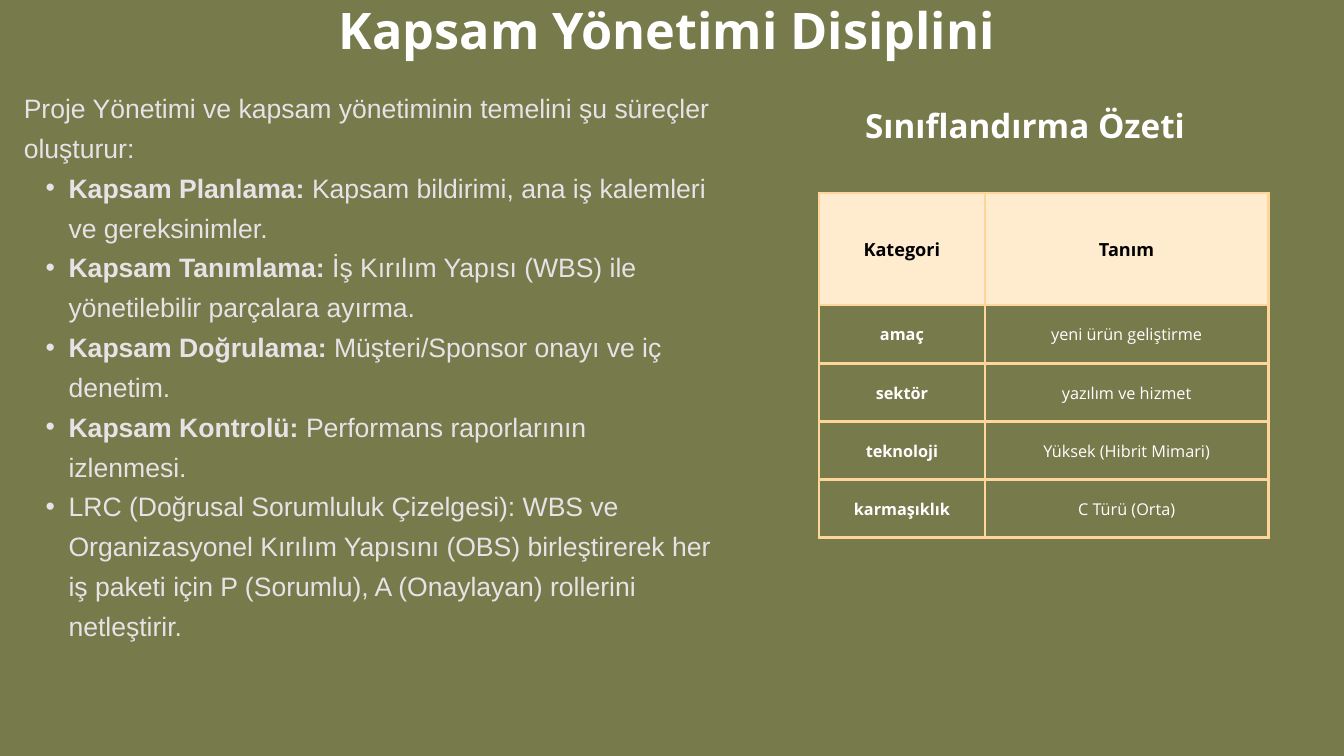
from dataclasses import dataclass

from lxml import etree
from pptx import Presentation
from pptx.dml.color import RGBColor
from pptx.enum.text import MSO_ANCHOR, MSO_AUTO_SIZE, PP_ALIGN
from pptx.oxml.ns import qn
from pptx.util import Pt

LEFT, CENTER = PP_ALIGN.LEFT, PP_ALIGN.CENTER
TOP, MIDDLE = MSO_ANCHOR.TOP, MSO_ANCHOR.MIDDLE
NO_FIT = MSO_AUTO_SIZE.NONE
PX = 9525  # EMU per px, 96 px to the inch


@dataclass(frozen=True)
class Theme:
    background: str = "777A4A"
    white: str = "FFFFFF"
    body: str = "E5E3E6"
    header_text: str = "000000"
    header_fill: str = "FFEBCD"
    border: str = "FFD699"
    heading_font: str = "Open Sans"
    body_font: str = "Arial"
    title_size: float = 54
    subtitle_size: float = 35.6
    body_size: float = 28.5
    header_size: float = 19.4
    cell_size: float = 17.4
    title_line: float = 64.8
    body_line: float = 42.7
    header_line: float = 27.2
    cell_line: float = 24.4
    border_width: float = 3


THEME = Theme()

INTRO = "Proje Yönetimi ve kapsam yönetiminin temelini şu süreçler oluşturur:"
PROCESSES = [
    ("Kapsam Planlama:", " Kapsam bildirimi, ana iş kalemleri ve gereksinimler."),
    ("Kapsam Tanımlama:", " İş Kırılım Yapısı (WBS) ile yönetilebilir parçalara ayırma."),
    ("Kapsam Doğrulama:", " Müşteri/Sponsor onayı ve iç denetim."),
    ("Kapsam Kontrolü:", " Performans raporlarının izlenmesi."),
    ("", "LRC (Doğrusal Sorumluluk Çizelgesi): WBS ve Organizasyonel Kırılım "
         "Yapısını (OBS) birleştirerek her iş paketi için P (Sorumlu), "
         "A (Onaylayan) rollerini netleştirir."),
]
SUMMARY = [
    ("Kategori", "Tanım"),
    ("amaç", "yeni ürün geliştirme"),
    ("sektör", "yazılım ve hizmet"),
    ("teknoloji", "Yüksek (Hibrit Mimari)"),
    ("karmaşıklık", "C Türü (Orta)"),
]


def px(*values):
    return [v * PX for v in values]


def add_run(p, text, font, size, color, bold=False):
    r = p.add_run()
    r.text = text
    r.font.name, r.font.size, r.font.bold = font, Pt(size), bold
    r.font.color.rgb = RGBColor.from_string(color)


def format_paragraph(p, line, align=LEFT):
    p.alignment = align
    p.line_spacing = Pt(line)
    p.space_before = p.space_after = Pt(0)


def set_bullet(p, margin, indent, char=None):
    pPr = p._p.get_or_add_pPr()
    pPr.set("marL", str(margin * PX))
    pPr.set("indent", str(indent * PX))
    if char:
        etree.SubElement(pPr, qn("a:buChar")).set("char", char)
    else:
        etree.SubElement(pPr, qn("a:buNone"))


def place(s, box):
    """Put a text shape in its box, without insets, and return its frame."""
    s.left, s.top, s.width, s.height = px(*box)
    tf = s.text_frame
    tf.word_wrap, tf.auto_size, tf.vertical_anchor = True, NO_FIT, TOP
    tf.margin_left = tf.margin_top = tf.margin_right = tf.margin_bottom = 0
    return tf


def fill_heading(s, box, text, size, line):
    p = place(s, box).paragraphs[0]
    format_paragraph(p, line)
    add_run(p, text, THEME.heading_font, size, THEME.white, True)


def fill_body(s, box):
    tf = place(s, box)
    # Introduction
    p = tf.paragraphs[0]
    set_bullet(p, 0, 0)
    format_paragraph(p, THEME.body_line)
    add_run(p, INTRO, THEME.body_font, THEME.body_size, THEME.body)
    # Process list
    for name, description in PROCESSES:
        p = tf.add_paragraph()
        p.level = 1
        set_bullet(p, 64, -33, "•")
        format_paragraph(p, THEME.body_line)
        if name:
            add_run(p, name, THEME.body_font, THEME.body_size, THEME.body, True)
        add_run(p, description, THEME.body_font, THEME.body_size, THEME.body)


def set_borders(cell):
    tcPr = cell._tc.get_or_add_tcPr()
    for side in ("lnL", "lnR", "lnT", "lnB"):
        ln = etree.SubElement(tcPr, qn(f"a:{side}"), w=str(Pt(THEME.border_width)))
        fill = etree.SubElement(ln, qn("a:solidFill"))
        etree.SubElement(fill, qn("a:srgbClr"), val=THEME.border)


def fill_cell(cell, text, header, bold):
    set_borders(cell)
    if header:
        cell.fill.solid()
        cell.fill.fore_color.rgb = RGBColor.from_string(THEME.header_fill)
        size, line, color = THEME.header_size, THEME.header_line, THEME.header_text
    else:
        cell.fill.background()
        size, line, color = THEME.cell_size, THEME.cell_line, THEME.white
    cell.vertical_anchor = MIDDLE
    cell.margin_left = cell.margin_right = 20 * PX
    cell.margin_top = cell.margin_bottom = 20 * PX
    p = cell.text_frame.paragraphs[0]
    format_paragraph(p, line, CENTER)
    add_run(p, text, THEME.heading_font, size, color, bold)


def add_summary(slide, box):
    left, top, width, height = box
    # Section heading
    fill_heading(slide.shapes.add_textbox(0, 0, 0, 0), (left + 66, top, 472, 113),
                 "Sınıflandırma Özeti", THEME.subtitle_size, THEME.body_line)
    # Table: a tall header row, then equal rows
    table_top, header_height, first_width = 126, 160, 237
    table_height = height - table_top
    table = slide.shapes.add_table(
        len(SUMMARY), 2, *px(left, top + table_top, width, table_height)).table
    table.horz_banding = table.first_row = False
    table.columns[0].width, table.columns[1].width = px(first_width, width - first_width)
    row_height = (table_height - header_height) // (len(SUMMARY) - 1)
    for i, texts in enumerate(SUMMARY):
        table.rows[i].height = (row_height if i else header_height) * PX
        for j, text in enumerate(texts):
            fill_cell(table.cell(i, j), text, header=i == 0, bold=i == 0 or j == 0)


def main():
    prs = Presentation()
    prs.slide_width, prs.slide_height = px(1920, 1080)
    slide = prs.slides.add_slide(prs.slide_layouts[1])
    slide.background.fill.solid()
    slide.background.fill.fore_color.rgb = RGBColor.from_string(THEME.background)

    fill_heading(slide.shapes.title, (484, -1, 948, 259),
                 "Kapsam Yönetimi Disiplini", THEME.title_size, THEME.title_line)
    fill_body(slide.placeholders[1], (34, 120, 982, 894))
    add_summary(slide, (1170, 150, 642, 618))
    prs.save("out.pptx")


if __name__ == "__main__":
    main()
